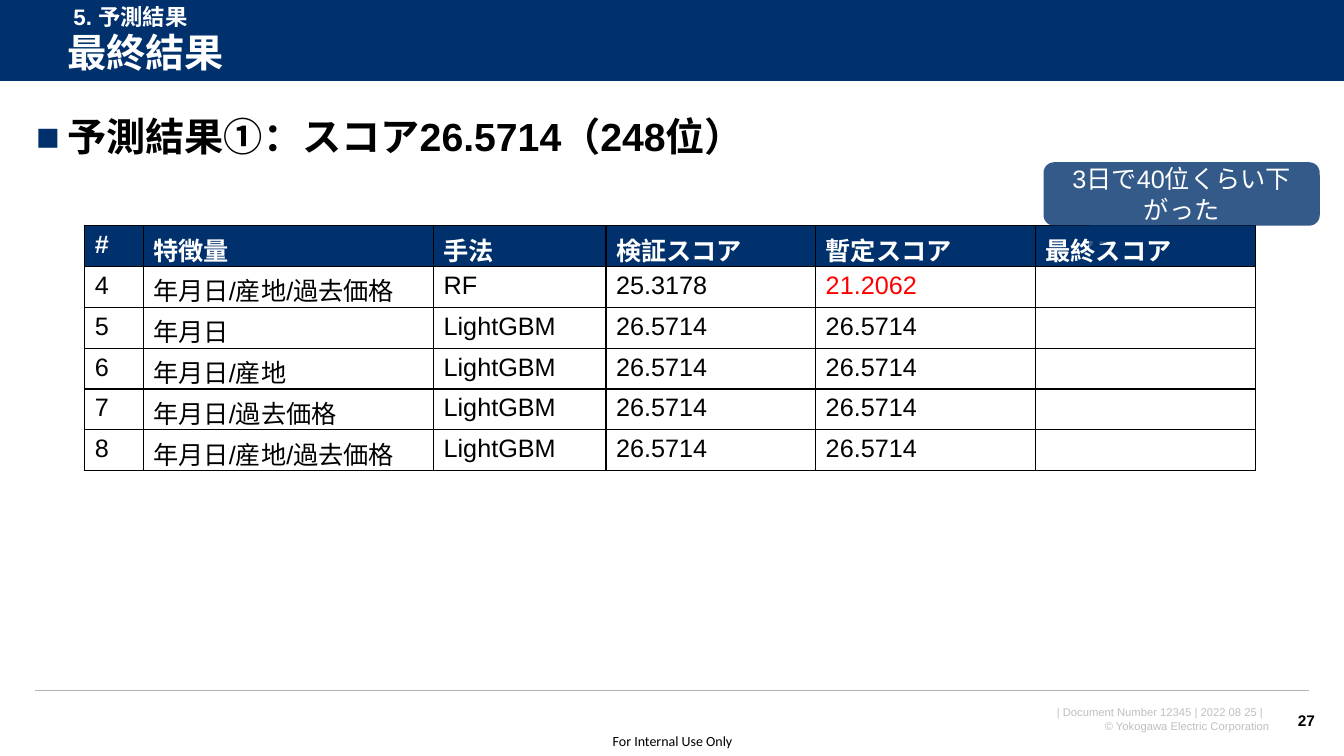
from lxml.etree import SubElement
from pptx import Presentation
from pptx.dml.color import RGBColor
from pptx.enum.shapes import MSO_CONNECTOR, MSO_SHAPE
from pptx.enum.text import MSO_ANCHOR, PP_ALIGN
from pptx.oxml.ns import qn
from pptx.util import Inches, Pt

COLORS = {"navy": "00316C", "white": "FFFFFF", "black": "000000",
          "rule": "B2B2B2", "footer": "BFBFBF", "red": "FF0000"}


def rgb(name):
    return RGBColor.from_string(COLORS[name])


def write(tf, text, size, color="black", bold=False, font="Arial",
          align=PP_ALIGN.LEFT, anchor=MSO_ANCHOR.TOP):
    """Fill a text frame, one paragraph per line of text."""
    tf.word_wrap = True
    tf.vertical_anchor = anchor
    for i, line in enumerate(text.split("\n")):
        p = tf.paragraphs[0] if i == 0 else tf.add_paragraph()
        p.alignment = align
        r = p.add_run()
        r.text = line
        for name, value in {"size": Pt(size), "bold": bold, "name": font}.items():
            setattr(r.font, name, value)
        r.font.color.rgb = rgb(color)


prs = Presentation()
prs.slide_width, prs.slide_height = Inches(13.33), Inches(7.5)
s = prs.slides.add_slide(prs.slide_layouts[6])

# Header band and rules
band = s.shapes.add_shape(MSO_SHAPE.RECTANGLE, 0, 0, prs.slide_width, Inches(0.81))
band.shadow.inherit = False
band.fill.solid()
band.fill.fore_color.rgb = rgb("navy")
band.line.fill.background()

for x1, x2, y, color, width in [(0, 13.33, 0.81, "white", 0.75),
                                (0.35, 12.98, 6.85, "rule", 1)]:
    rule = s.shapes.add_connector(MSO_CONNECTOR.STRAIGHT,
                                  Inches(x1), Inches(y), Inches(x2), Inches(y))
    rule.line.color.rgb = rgb(color)
    rule.line.width = Pt(width)
    SubElement(rule._element.spPr, qn("a:effectLst"))

# Headings and footer
middle, right = MSO_ANCHOR.MIDDLE, PP_ALIGN.RIGHT
texts = {
    "footer": ((9.48, 6.95, 3.21, 0.37),
               "| Document Number 12345 | 2022 08 25 |  \n© Yokogawa Electric Corporation",
               {"size": 8, "color": "footer", "align": right}),
    "notice": ((5.91, 7.21, 1.52, 0.29), "For Internal Use Only",
               {"size": 10, "font": "Calibri", "align": PP_ALIGN.CENTER, "anchor": middle}),
    "title": ((0.57, 0.26, 12.47, 0.57), "最終結果",
              {"size": 28, "color": "white", "bold": True, "anchor": middle}),
    "page": ((12.7, 6.95, 0.44, 0.4), "27",
             {"size": 11, "bold": True, "align": right, "anchor": middle}),
    "result": ((0.26, 1.12, 12.78, 0.57), "予測結果①：スコア26.5714（248位）",
               {"size": 28, "bold": True}),
    "section": ((0.63, -0.02, 3.1, 0.37), "5. 予測結果",
                {"size": 16, "color": "white", "bold": True}),
}
frames = {}
for name, (box, text, style) in texts.items():
    tf = s.shapes.add_textbox(*map(Inches, box)).text_frame
    write(tf, text, **style)
    frames[name] = tf

for side in ("left", "right", "top", "bottom"):
    setattr(frames["notice"], f"margin_{side}", 0)
for name in ("title", "result"):
    frames[name].paragraphs[0].line_spacing = 0.9

pPr = frames["result"].paragraphs[0]._p.get_or_add_pPr()
pPr.set("marL", str(Inches(0.31)))
pPr.set("indent", str(-Inches(0.31)))
SubElement(SubElement(pPr, qn("a:buClr")), qn("a:srgbClr"), val=COLORS["navy"])
SubElement(pPr, qn("a:buFont"), typeface="Arial")
SubElement(pPr, qn("a:buChar"), char="■")

# Score table
rows = [
    ("#", "特徴量", "手法", "検証スコア", "暫定スコア", "最終スコア"),
    ("4", "年月日/産地/過去価格", "RF", "25.3178", "21.2062", ""),
    ("5", "年月日", "LightGBM", "26.5714", "26.5714", ""),
    ("6", "年月日/産地", "LightGBM", "26.5714", "26.5714", ""),
    ("7", "年月日/過去価格", "LightGBM", "26.5714", "26.5714", ""),
    ("8", "年月日/産地/過去価格", "LightGBM", "26.5714", "26.5714", ""),
]
widths = [0.58, 2.88, 1.71, 2.08, 2.18, 2.18]
table = s.shapes.add_table(len(rows), len(widths), Inches(0.84), Inches(2.24),
                           Inches(sum(widths)), Inches(2.43)).table
table.horz_banding = False
for column, width in zip(table.columns, widths):
    column.width = Inches(width)

for i, row in enumerate(rows):
    for j, text in enumerate(row):
        cell = table.cell(i, j)
        header = i == 0
        color = "white" if header else "red" if text == "21.2062" else "black"
        if text:
            write(cell.text_frame, text, 18, color, header)
        tcPr = cell._tc.get_or_add_tcPr()
        for edge in ("lnL", "lnR", "lnT", "lnB"):
            ln = SubElement(tcPr, qn(f"a:{edge}"), w=str(Pt(1)))
            SubElement(SubElement(ln, qn("a:solidFill")), qn("a:srgbClr"),
                       val=COLORS["black"])
        cell.fill.solid()
        cell.fill.fore_color.rgb = rgb("navy" if header else "white")

# Remark on the final score
callout = s.shapes.add_shape(MSO_SHAPE.ROUNDED_RECTANGULAR_CALLOUT, Inches(10.35),
                             Inches(1.61), Inches(2.74), Inches(0.63))
callout.shadow.inherit = False
for i, value in enumerate((-0.336, 0.852, 0.167)):
    callout.adjustments[i] = value
callout.fill.solid()
callout.fill.fore_color.rgb = rgb("navy")
SubElement(callout._element.spPr.find(qn("a:solidFill"))[0], qn("a:alpha"), val="80000")
callout.line.fill.background()
write(callout.text_frame, "3日で40位くらい下がった", 18, "white",
      align=PP_ALIGN.CENTER, anchor=middle)

prs.save("out.pptx")
